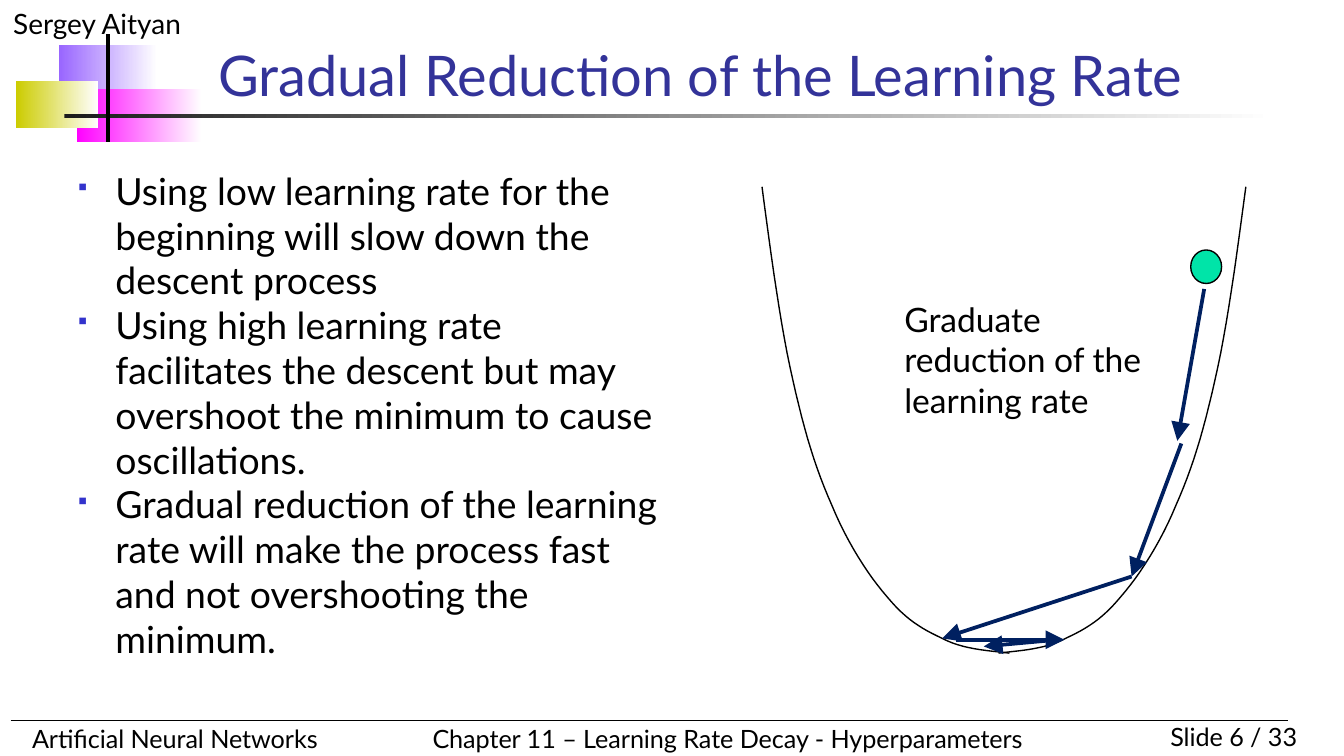
from lxml import etree
from pptx import Presentation
from pptx.dml.color import RGBColor
from pptx.enum.shapes import MSO_CONNECTOR, MSO_SHAPE
from pptx.enum.text import MSO_ANCHOR, PP_ALIGN
from pptx.oxml.ns import qn
from pptx.util import Inches, Pt

RECTANGLE = MSO_SHAPE.RECTANGLE
OVAL = MSO_SHAPE.OVAL
STRAIGHT = MSO_CONNECTOR.STRAIGHT
TOP, BOTTOM = MSO_ANCHOR.TOP, MSO_ANCHOR.BOTTOM
LEFT, RIGHT = PP_ALIGN.LEFT, PP_ALIGN.RIGHT

BLACK = RGBColor(0x00, 0x00, 0x00)
WHITE = RGBColor(0xFF, 0xFF, 0xFF)
VIOLET = RGBColor(0x99, 0x66, 0xFF)
MAGENTA = RGBColor(0xFF, 0x00, 0xFF)
OLIVE = RGBColor(0xCC, 0xCC, 0x00)
CHARCOAL = RGBColor(0x1C, 0x1C, 0x1C)
TITLE_BLUE = RGBColor(0x33, 0x33, 0x99)
BULLET_BLUE = RGBColor(0x33, 0x33, 0xCC)
NAVY = RGBColor(0x00, 0x20, 0x60)
BALL_GREEN = RGBColor(0x00, 0xE4, 0xA8)

FONT = "Lato"
BULLET_FONT = "Wingdings"
SQUARE_BULLET = "§"  # a filled square in the bullet font

# The slide is a grid of square cells; every length below counts cells
COLUMNS, ROWS = 100, 56.25
CELL = Inches(10) / COLUMNS

BULLETS = [
    "Using low learning rate for the beginning will slow down the descent process",
    "Using high learning rate facilitates the descent but may overshoot "
    "the minimum to cause oscillations.",
    "Gradual reduction of the learning rate will make the process fast "
    "and not overshooting the minimum.",
]

# Left wall of the valley: a start, then Bezier segments of three points each
VALLEY_START = (56.7, 13.9)
VALLEY_SEGMENTS = [
    [(57.4, 19.2), (58.1, 24.4), (59, 28.3)],
    [(59.9, 32.3), (60.7, 34.9), (61.9, 37.6)],
    [(63, 40.3), (64.6, 42.8), (66, 44.4)],
    [(67.4, 46.1), (68.6, 46.8), (70.1, 47.5)],
    [(71.6, 48.3), (73.4, 48.4), (75.1, 48.6)],
]
VALLEY_AXIS = 74.7
CURVE_STEPS = 12

DESCENT_STEPS = [
    ((89.6, 21.5), (87.6, 32.8)),
    ((87.9, 33), (84.2, 42.9)),
    ((84.2, 42.9), (70.1, 47.5)),
    ((71.1, 47.6), (79.2, 47.6)),
    ((78.7, 47.6), (73.2, 48.1)),
]


def cells(*counts):
    return [round(count * CELL) for count in counts]


def add_bullet(paragraph):
    properties = paragraph._p.get_or_add_pPr()
    indent = round(2.8 * CELL)
    properties.set("marL", str(indent))
    properties.set("indent", str(-indent))
    color = etree.SubElement(properties, qn("a:buClr"))
    etree.SubElement(color, qn("a:srgbClr"), val=str(BULLET_BLUE))
    etree.SubElement(properties, qn("a:buSzPct"), val="60000")
    etree.SubElement(properties, qn("a:buFont"), typeface=BULLET_FONT, charset="2")
    etree.SubElement(properties, qn("a:buChar"), char=SQUARE_BULLET)


def add_text(slide, box, *texts, size, color=BLACK, align=LEFT,
             anchor=TOP, wrap=True, bulleted=False):
    shape = slide.shapes.add_textbox(*cells(*box))
    frame = shape.text_frame
    frame.word_wrap = wrap
    frame.vertical_anchor = anchor
    for index, text in enumerate(texts):
        paragraph = frame.add_paragraph() if index else frame.paragraphs[0]
        paragraph.alignment = align
        if bulleted:
            add_bullet(paragraph)
        run = paragraph.add_run()
        run.text = text
        run.font.name = FONT
        run.font.size = Pt(size)
        run.font.color.rgb = color


def add_fading_bar(slide, box, color):
    shape = slide.shapes.add_shape(RECTANGLE, *cells(*box))
    shape.shadow.inherit = False
    shape.line.fill.background()
    shape.fill.gradient()
    shape.fill.gradient_angle = 0
    for stop, stop_color in zip(shape.fill.gradient_stops, (color, WHITE)):
        stop.color.rgb = stop_color


def add_line(slide, start, end, color=BLACK, width=0.75, arrow=False):
    connector = slide.shapes.add_connector(STRAIGHT, *cells(*start, *end))
    connector.line.color.rgb = color
    connector.line.width = Pt(width)
    if arrow:
        outline = connector.line._get_or_add_ln()
        etree.SubElement(outline, qn("a:tailEnd"), type="triangle", w="lg", len="lg")
    etree.SubElement(connector._element.spPr, qn("a:effectLst"))


def bezier_point(points, share):
    rest = 1 - share
    weights = (rest ** 3, 3 * rest ** 2 * share, 3 * rest * share ** 2, share ** 3)
    return tuple(sum(weight * point[axis] for weight, point in zip(weights, points))
                 for axis in (0, 1))


def valley_points():
    points = [VALLEY_START]
    for segment in VALLEY_SEGMENTS:
        controls = [points[-1], *segment]
        points += [bezier_point(controls, step / CURVE_STEPS)
                   for step in range(1, CURVE_STEPS + 1)]
    return points


def add_curve(slide, points):
    start, *others = [cells(*point) for point in points]
    builder = slide.shapes.build_freeform(*start)
    builder.add_line_segments(others, close=False)
    shape = builder.convert_to_shape()
    shape.shadow.inherit = False
    shape.fill.background()
    shape.line.color.rgb = BLACK
    shape.line.width = Pt(0.75)


def add_ball(slide, box):
    shape = slide.shapes.add_shape(OVAL, *cells(*box))
    shape.shadow.inherit = False
    shape.fill.solid()
    shape.fill.fore_color.rgb = BALL_GREEN
    shape.line.color.rgb = BLACK
    shape.line.width = Pt(0.75)


def add_frame(slide):
    # Corner ornament and title rule
    add_fading_bar(slide, (4.4, 3.35, 7.3, 3.9), VIOLET)
    add_fading_bar(slide, (5.7, 6.65, 9.3, 3.9), MAGENTA)
    add_fading_bar(slide, (1.2, 6.05, 6.1, 3.5), OLIVE)
    add_fading_bar(slide, (4.8, 8.5, 90, 0.25), CHARCOAL)

    # Author and footer
    add_text(slide, (0, 0, 25, 3.5), "Sergey Aityan", size=15)
    add_text(slide, (82.5, 53.2, 15, 3.3), "Slide 6 / 33", size=13.5, align=RIGHT)
    add_text(slide, (1.4, 53.35, 37, 3.3), "Artificial Neural Networks", size=13.5)
    add_text(slide, (31.2, 53.3, 47, 3.3),
             "Chapter 11 – Learning Rate Decay - Hyperparameters", size=13.5, wrap=False)
    add_line(slide, (0.8, 53.6), (95.8, 53.6))
    add_line(slide, (8.05, 2.55), (8.05, 10.55), width=2)


def add_descent_diagram(slide):
    left_wall = valley_points()
    add_curve(slide, left_wall)
    add_curve(slide, [(2 * VALLEY_AXIS - x, y) for x, y in left_wall])
    add_ball(slide, (88.6, 18.6, 2.3, 2.5))
    for start, end in DESCENT_STEPS:
        add_line(slide, start, end, color=NAVY, width=2, arrow=True)
    add_text(slide, (66.3, 21.75, 20.8, 10.1),
             "Graduate reduction of the learning rate", size=18)


def main():
    presentation = Presentation()
    presentation.slide_width, presentation.slide_height = cells(COLUMNS, ROWS)
    slide = presentation.slides.add_slide(presentation.slide_layouts[6])

    add_frame(slide)
    add_text(slide, (15.25, 3.1, 79.8, 5.4), "Gradual Reduction of the Learning Rate",
             size=30, color=TITLE_BLUE, anchor=BOTTOM)
    add_text(slide, (4.8, 12, 45.2, 38.6), *BULLETS, size=20, bulleted=True)
    add_descent_diagram(slide)

    presentation.save("out.pptx")


if __name__ == "__main__":
    main()
